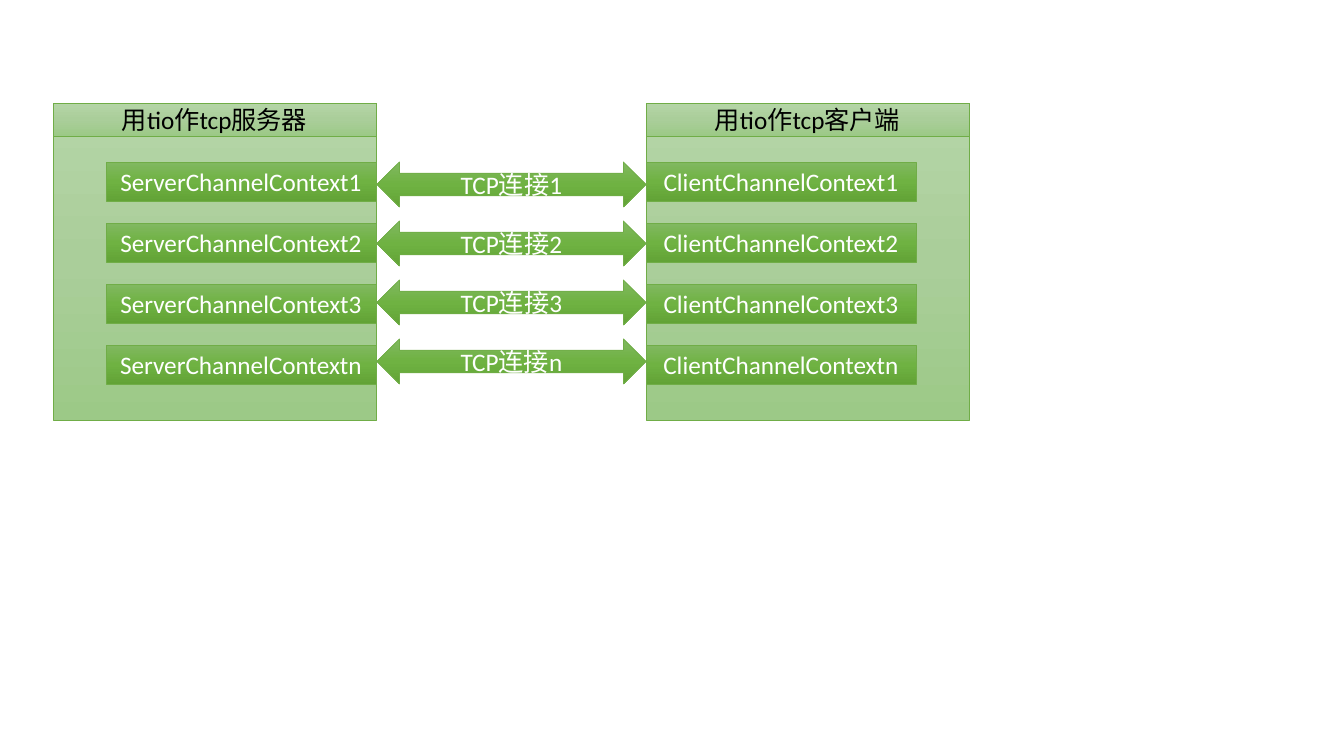
from copy import deepcopy

from pptx import Presentation, util as u
from pptx.dml import color
from pptx.enum import shapes, text
from pptx.oxml import ns

PX = 914400 / 100.8
COLORS = {"line": "70AD47", "dark text": "000000", "light text": "FFFFFF"}
GRADIENTS = {
    "pale": {0: "B5D5A7", 0.5: "AACE9A", 1: "9CC987"},
    "strong": {0: "81B861", 0.5: "6FB242", 1: "62A336"},
}


def px(length):
    return u.Emu(round(length * PX))


def rgb(name):
    return color.RGBColor.from_string(COLORS[name])


class Diagram:
    font = "Calibri"
    font_size = u.Pt(18)
    line_width = u.Pt(0.5)

    def __init__(self, slide):
        self.slide = slide

    def shade(self, shape, gradient):
        shape.fill.gradient()
        shape.fill.gradient_angle = 270
        first_stop = shape._element.spPr.find(".//" + ns.qn("a:gs"))
        first_stop.addnext(deepcopy(first_stop))
        for stop, (position, value) in zip(shape.fill.gradient_stops, GRADIENTS[gradient].items()):
            stop.position = position
            stop.color.rgb = color.RGBColor.from_string(value)

    def label(self, shape, wording, text_color):
        frame = shape.text_frame
        frame.text = wording
        frame.vertical_anchor = text.MSO_ANCHOR.MIDDLE
        paragraph = frame.paragraphs[0]
        paragraph.alignment = text.PP_ALIGN.CENTER
        for run in paragraph.runs:
            run.font.name = self.font
            run.font.size = self.font_size
            run.font.color.rgb = rgb(text_color)

    def block(self, kind, left, top, width, height, gradient, wording="", text_color="light text"):
        shape = self.slide.shapes.add_shape(kind, px(left), px(top), px(width), px(height))
        shape.shadow.inherit = False
        self.shade(shape, gradient)
        shape.line.color.rgb = rgb("line")
        shape.line.width = self.line_width
        if wording:
            self.label(shape, wording, text_color)

    def panel(self, left, title):
        rectangle = shapes.MSO_SHAPE.RECTANGLE
        self.block(rectangle, left, 103, 323, 317, "pale")
        self.block(rectangle, left, 103, 323, 33, "pale", title, "dark text")

    def context(self, left, top, wording):
        self.block(shapes.MSO_SHAPE.RECTANGLE, left, top, 270, 39, "strong", wording)

    def connection(self, top, wording):
        self.block(shapes.MSO_SHAPE.LEFT_RIGHT_ARROW, 377, top, 269, 45, "strong", wording)


def main():
    presentation = Presentation()
    presentation.slide_width = px(1344)
    presentation.slide_height = px(756)
    diagram = Diagram(presentation.slides.add_slide(presentation.slide_layouts[6]))

    diagram.panel(53, "用tio作tcp服务器")
    diagram.panel(646, "用tio作tcp客户端")
    for row, number in enumerate("123n"):
        diagram.connection(162 + 59 * row, f"TCP连接{number}")
        diagram.context(106, 162 + 61 * row, f"ServerChannelContext{number}")
        diagram.context(646, 162 + 61 * row, f"ClientChannelContext{number}")

    presentation.save("out.pptx")


if __name__ == "__main__":
    main()
